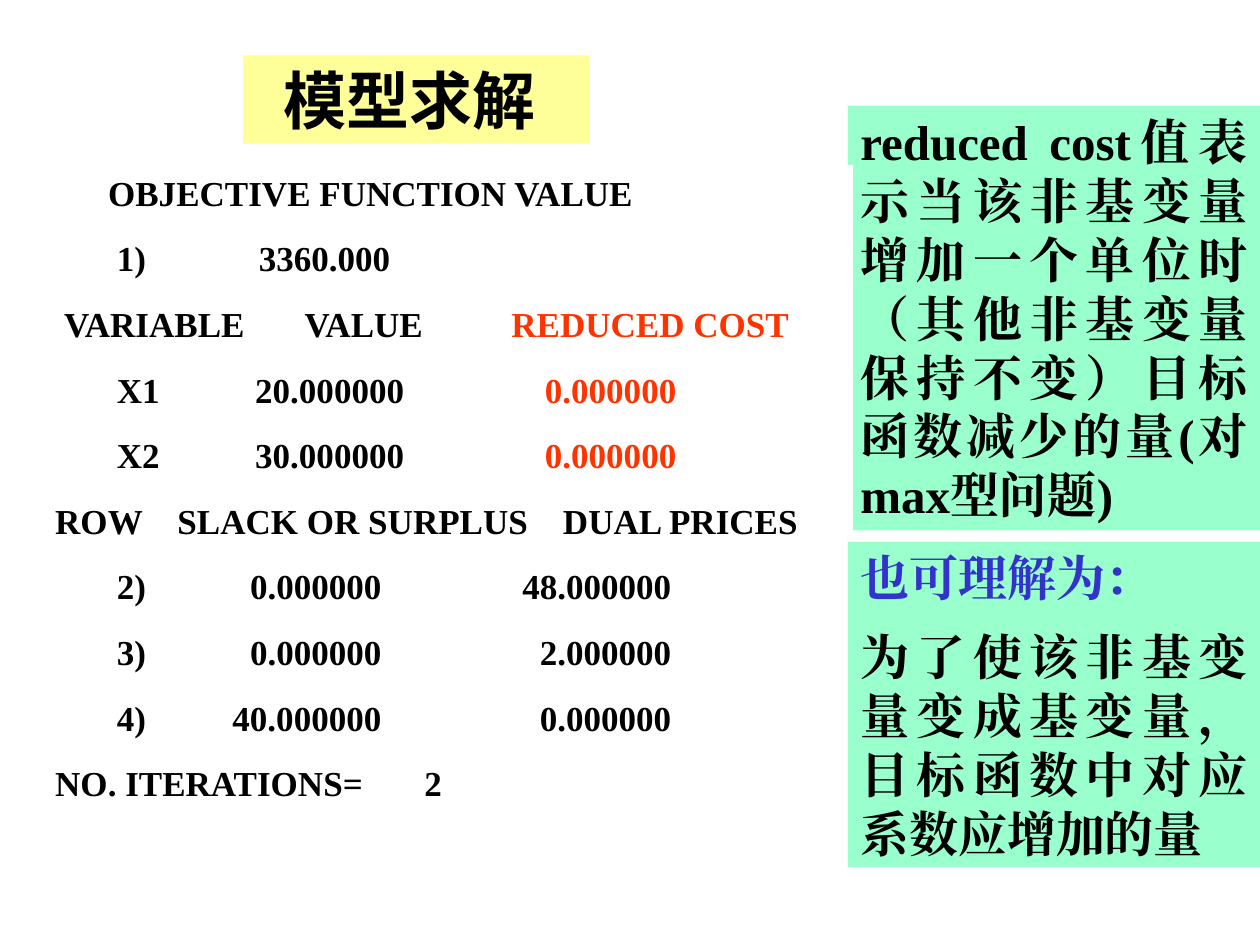
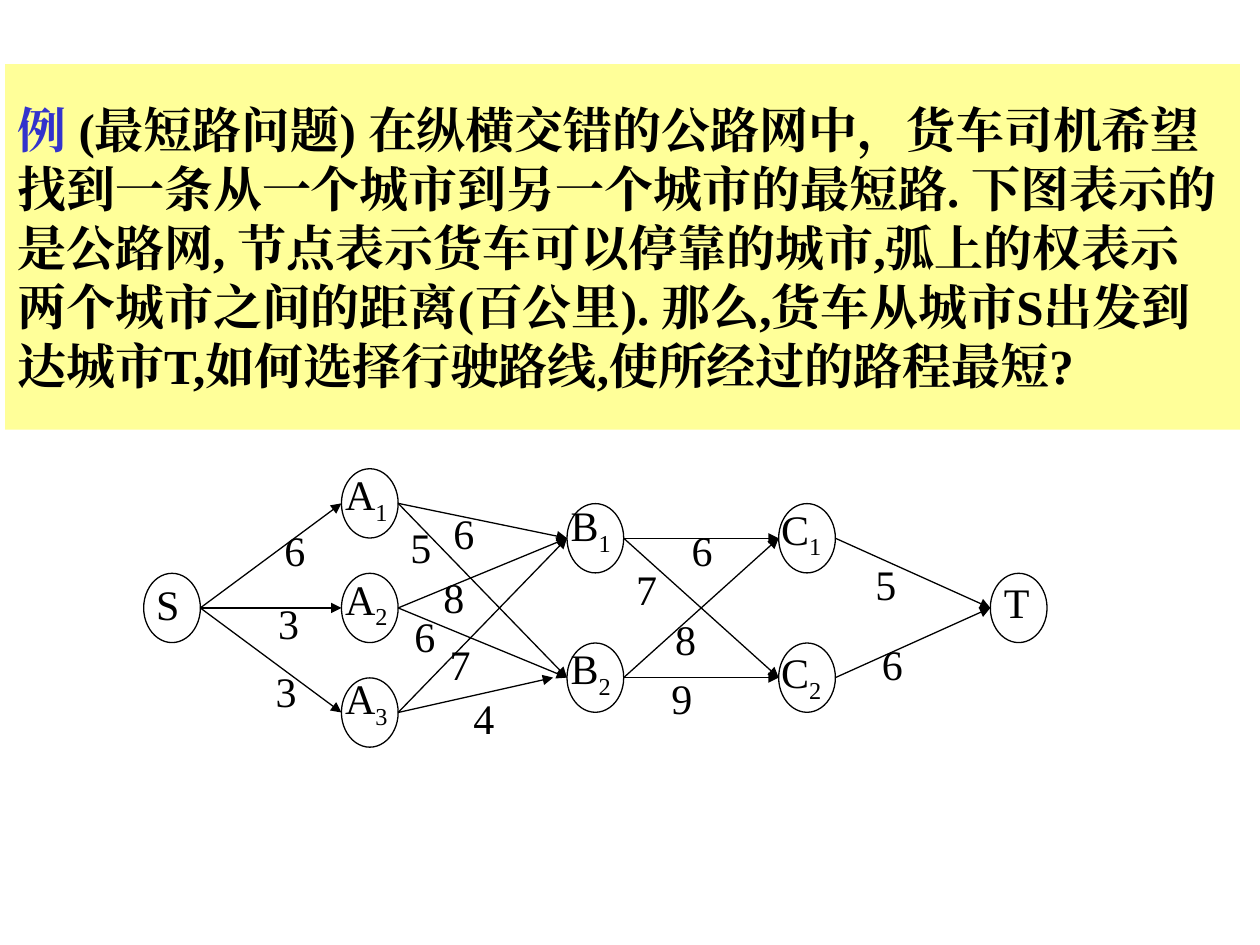
from dataclasses import dataclass
from typing import NamedTuple, Optional, Sequence

import pptx
import pptx.dml.color
import pptx.enum.shapes
import pptx.enum.text
import pptx.oxml.ns
import pptx.util
from lxml import etree

ALIGN = pptx.enum.text.PP_ALIGN
SHAPES = pptx.enum.shapes.MSO_SHAPE
SLIDE_WIDTH, SLIDE_HEIGHT = pptx.util.Inches(10), pptx.util.Inches(7.5)
COLUMN, ROW = SLIDE_WIDTH / 100, SLIDE_HEIGHT / 75


@dataclass(frozen=True)
class Theme:
    latin: str = "Times New Roman"
    heading: str = "Noto Sans CJK SC"
    ink: str = "000000"
    accent: str = "3333CC"
    alert: str = "FF3300"
    paper: str = "FFFFFF"
    yellow: str = "FFFF99"
    mint: str = "99FFCC"
    title_size: float = 36
    body_size: float = 28
    label_size: float = 24
    report_size: float = 20
    outline: float = 0.75
    cjk_leading: float = 1.2


THEME = Theme()


class Box(NamedTuple):
    """Left, top, width and height in grid columns and rows."""
    left: float
    top: float
    width: float
    height: float

    def emu(self) -> tuple[int, ...]:
        units = (COLUMN, ROW, COLUMN, ROW)
        return tuple(round(value * unit) for value, unit in zip(self, units))


class Span(NamedTuple):
    """A run of text; tab is the column, from the text edge, where it is set."""
    text: str
    color: str = THEME.ink
    tab: Optional[float] = None
    tab_align: str = "l"
    subscript: bool = False


class Node(NamedTuple):
    letter: str
    index: str
    stage: int
    level: int
    label_shift: tuple[float, float]


class Arc(NamedTuple):
    start: str
    end: str
    distance: str
    label_left: float
    label_top: float
    gap: float = 0


def rgb(value: str) -> pptx.dml.color.RGBColor:
    return pptx.dml.color.RGBColor.from_string(value)


def write_text(frame, paragraphs: Sequence[Sequence[Span]], *, size: float,
               font: str = THEME.latin, bold: bool = False, align=ALIGN.LEFT,
               space_before: float = 0, leading: Optional[float] = None,
               anchor=pptx.enum.text.MSO_ANCHOR.TOP) -> None:
    frame.word_wrap = True
    frame.auto_size = pptx.enum.text.MSO_AUTO_SIZE.SHAPE_TO_FIT_TEXT
    frame.vertical_anchor = anchor
    for number, spans in enumerate(paragraphs):
        paragraph = frame.add_paragraph() if number else frame.paragraphs[0]
        paragraph.alignment = align
        paragraph.space_before = pptx.util.Pt(space_before)
        if leading:
            paragraph.line_spacing = pptx.util.Pt(size * leading)
        set_tabs(paragraph, spans)
        for span in spans:
            run = paragraph.add_run()
            run.text = span.text if span.tab is None else "\t" + span.text
            run.font.size = pptx.util.Pt(size)
            run.font.name = font
            run.font.bold = bold
            run.font.color.rgb = rgb(span.color)
            properties = run._r.get_or_add_rPr()
            etree.SubElement(properties, pptx.oxml.ns.qn("a:ea"), typeface=font)
            if span.subscript:
                properties.set("baseline", "-25000")


def set_tabs(paragraph, spans: Sequence[Span]) -> None:
    stops = [span for span in spans if span.tab is not None]
    if stops:
        tabs = etree.SubElement(paragraph._p.get_or_add_pPr(), pptx.oxml.ns.qn("a:tabLst"))
        for stop in stops:
            etree.SubElement(tabs, pptx.oxml.ns.qn("a:tab"),
                             pos=str(round(stop.tab * COLUMN)), algn=stop.tab_align)


def add_filled(slide, kind, box: Box, fill: str, line: Optional[str] = None):
    shape = slide.shapes.add_shape(kind, *box.emu())
    shape.shadow.inherit = False
    shape.fill.solid()
    shape.fill.fore_color.rgb = rgb(fill)
    if line:
        shape.line.color.rgb = rgb(line)
        shape.line.width = pptx.util.Pt(THEME.outline)
    else:
        shape.line.fill.background()
    return shape


def add_panel(slide, box: Box, fill: str, paragraphs: Sequence[Sequence[Span]],
              **text_format) -> None:
    panel = add_filled(slide, SHAPES.RECTANGLE, box, fill)
    write_text(panel.text_frame, paragraphs, **text_format)


def add_label(slide, left: float, top: float, spans: Sequence[Span]) -> None:
    size = (7.1, 5.6) if len(spans) > 1 else (6.3, 5)
    label = slide.shapes.add_textbox(*Box(left, top, *size).emu())
    write_text(label.text_frame, [spans], size=THEME.label_size)


def add_arrow(slide, start: tuple[float, float], end: tuple[float, float]) -> None:
    ends = Box(*start, *end).emu()
    arrow = slide.shapes.add_connector(pptx.enum.shapes.MSO_CONNECTOR.STRAIGHT, *ends)
    arrow.line.color.rgb = rgb(THEME.ink)
    arrow.line.width = pptx.util.Pt(THEME.outline)
    etree.SubElement(arrow.line._get_or_add_ln(), pptx.oxml.ns.qn("a:tailEnd"), type="triangle")
    etree.SubElement(arrow._element.spPr, pptx.oxml.ns.qn("a:effectLst"))


# Solver report
def variable_row(name: str, value: str, reduced_cost: str) -> list[Span]:
    return [Span(name, tab=5.6), Span(value, tab=28.4, tab_align="r"),
            Span(reduced_cost, THEME.alert, 50, "r")]


def constraint_row(number: str, slack: str, dual_price: str) -> list[Span]:
    return [Span(number, tab=5.6), Span(slack, tab=26.6, tab_align="r"),
            Span(dual_price, tab=49.6, tab_align="r")]


REPORT = [
    [Span("OBJECTIVE FUNCTION VALUE", tab=4.9)],
    [Span("1)", tab=5.6), Span("3360.000", tab=27.3, tab_align="r")],
    [Span("VARIABLE", tab=1.4), Span("VALUE", tab=20.5),
     Span("REDUCED COST", THEME.alert, 36.9)],
    variable_row("X1", "20.000000", "0.000000"),
    variable_row("X2", "30.000000", "0.000000"),
    [Span("ROW", tab=0.7), Span("SLACK OR SURPLUS", tab=10.4), Span("DUAL PRICES", tab=41)],
    constraint_row("2)", "0.000000", "48.000000"),
    constraint_row("3)", "0.000000", "2.000000"),
    constraint_row("4)", "40.000000", "0.000000"),
    [Span("NO. ITERATIONS=", tab=0.7), Span("2", tab=30)],
]
REDUCED_COST = [[Span("reduced cost值表示当该非基变量增加一个单位时（其他非基变量保持不变）"
                      "目标函数减少的量(对max型问题)")]]
READING = [[Span("也可理解为：", THEME.accent)],
           [Span("为了使该非基变量变成基变量，目标函数中对应系数应增加的量")]]


def build_solution(slide) -> None:
    note = dict(size=THEME.body_size, bold=True, align=ALIGN.JUSTIFY,
                space_before=11.5, leading=THEME.cjk_leading)
    add_panel(slide, Box(19.3, 4.4, 27.5, 7), THEME.yellow, [[Span("模型求解 ")]],
              size=THEME.title_size, font=THEME.heading, bold=True,
              align=ALIGN.CENTER, leading=THEME.cjk_leading)
    add_panel(slide, Box(67.3, 8.4, 32.7, 33.7), THEME.mint, REDUCED_COST, **note)
    add_panel(slide, Box(2.7, 13.1, 65, 50), THEME.paper, REPORT,
              size=THEME.report_size, bold=True, space_before=13.5)
    add_panel(slide, Box(67.3, 43, 32.7, 25.8), THEME.mint, READING, **note)


# Road network
PROBLEM = [[Span("例 ", THEME.accent),
            Span("(最短路问题) 在纵横交错的公路网中，货车司机希望找到一条从一个城市到另一个城市的"
                 "最短路. 下图表示的是公路网, 节点表示货车可以停靠的城市,弧上的权表示两个城市之间的"
                 "距离(百公里). 那么,货车从城市S出发到达城市T,如何选择行驶路线,使所经过的路程最短?")]]
STAGE_LEFTS = (11.4, 27.1, 45, 61.8, 78.6)
NETWORK_TOP, LEVEL_HEIGHT = 37.2, 16.6 / 6
NODE_WIDTH, NODE_HEIGHT = 4.5, 5.5
NODES = [
    Node("S", "", 0, 3, (0, -0.1)),
    Node("A", "1", 1, 0, (-0.7, -0.5)),
    Node("A", "2", 1, 3, (-0.7, -0.5)),
    Node("A", "3", 1, 6, (-0.7, -0.9)),
    Node("B", "1", 2, 1, (-0.7, -0.8)),
    Node("B", "2", 2, 5, (-0.7, -0.5)),
    Node("C", "1", 3, 1, (-0.8, -0.5)),
    Node("C", "2", 3, 5, (-0.8, -0.2)),
    Node("T", "", 4, 3, (0.1, -0.2)),
]
ARCS = [
    Arc("S", "A1", "6", 21.6, 41.1),
    Arc("S", "A2", "3", 21.1, 46.9),
    Arc("S", "A3", "3", 20.9, 52.3),
    Arc("A1", "B1", "6", 35, 39.8),
    Arc("A1", "B2", "5", 31.6, 40.9),
    Arc("A2", "B1", "8", 34.2, 44.9),
    Arc("A2", "B2", "6", 31.9, 48),
    Arc("A3", "B1", "7", 34.7, 50.2),
    Arc("A3", "B2", "4", 36.6, 54.5, gap=1.1),
    Arc("B1", "C1", "6", 53.9, 41.1),
    Arc("B1", "C2", "7", 49.5, 44.2),
    Arc("B2", "C1", "8", 52.6, 48.2),
    Arc("B2", "C2", "9", 52.3, 52.9),
    Arc("C1", "T", "5", 68.5, 43.8),
    Arc("C2", "T", "6", 69, 50.2),
]


def build_network(slide) -> None:
    add_panel(slide, Box(0.4, 5.1, 98, 29), THEME.yellow, PROBLEM, size=THEME.body_size,
              bold=True, leading=THEME.cjk_leading, anchor=pptx.enum.text.MSO_ANCHOR.MIDDLE)
    cities = {node.letter + node.index: Box(STAGE_LEFTS[node.stage],
                                            NETWORK_TOP + node.level * LEVEL_HEIGHT,
                                            NODE_WIDTH, NODE_HEIGHT) for node in NODES}
    for city in cities.values():
        add_filled(slide, SHAPES.OVAL, city, THEME.paper, THEME.ink)
    for arc in ARCS:
        start, end = cities[arc.start], cities[arc.end]
        add_arrow(slide, (start.left + NODE_WIDTH, start.top + NODE_HEIGHT / 2),
                  (end.left - arc.gap, end.top + NODE_HEIGHT / 2))
    for node, city in zip(NODES, cities.values()):
        spans = [Span(node.letter)]
        if node.index:
            spans.append(Span(node.index, subscript=True))
        across, down = node.label_shift
        add_label(slide, city.left + across, city.top + down, spans)
    for arc in ARCS:
        add_label(slide, arc.label_left, arc.label_top, [Span(arc.distance)])


def main() -> None:
    deck = pptx.Presentation()
    deck.slide_width, deck.slide_height = SLIDE_WIDTH, SLIDE_HEIGHT
    for build in (build_solution, build_network):
        build(deck.slides.add_slide(deck.slide_layouts[6]))
    deck.save("out.pptx")


if __name__ == "__main__":
    main()
